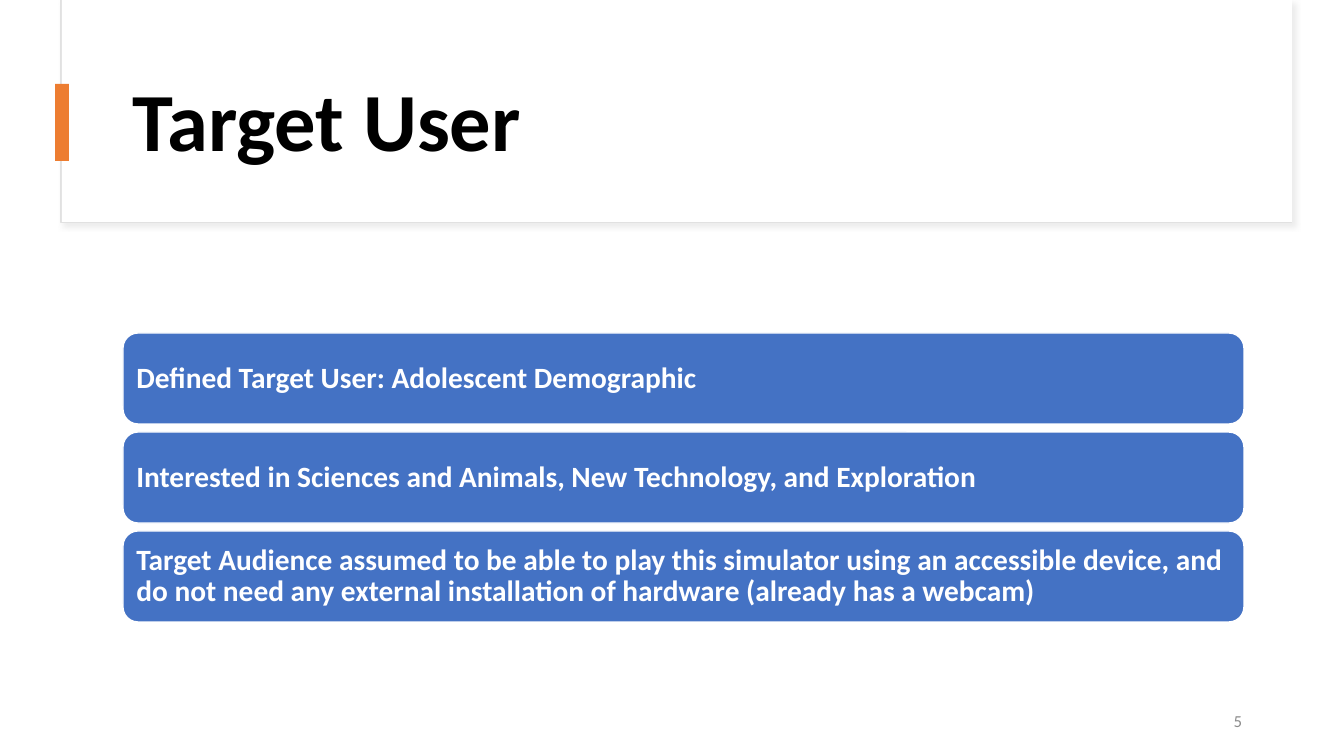
"""Build the Target User slide."""
from lxml.etree import SubElement
from pptx import Presentation
from pptx.dml.color import RGBColor
from pptx.enum.shapes import MSO_SHAPE
from pptx.enum.text import MSO_ANCHOR, PP_ALIGN
from pptx.oxml.ns import qn
from pptx.util import Pt

TITLE = "Target User"
POINTS = [
    "Defined Target User: Adolescent Demographic",
    "Interested in Sciences and Animals, New Technology, and Exploration",
    "Target Audience assumed to be able to play this simulator using an "
    "accessible device, and do not need any external installation of "
    "hardware (already has a webcam)",
]
NUMBER = "5"
COLORS = {
    "white": "FFFFFF", "edge": "E1E1E1", "shade": "D9D9D9", "black": "000000",
    "accent": "ED7D31", "bar": "4472C4", "gray": "8C8C8C",
}
FONT = "Calibri"
WIDE, HIGH = 1344, 756
LEFT, SPAN = 123, 1121
TOP, TALL, STEP = 333, 91, 99
RADIUS = 15
SCALE = 12192000 / WIDE


def px(size):
    """Turn px into EMU."""
    return round(size * SCALE)


def color(name):
    """Look up a colour."""
    return RGBColor.from_string(COLORS[name])


def add_box(slide, kind, area, fill, line=None, width=1):
    """Add a filled shape with an optional outline."""
    box = slide.shapes.add_shape(kind, *map(px, area))
    box.shadow.inherit = False
    box.fill.solid()
    box.fill.fore_color.rgb = color(fill)
    if line:
        box.line.color.rgb = color(line)
        box.line.width = Pt(width)
    else:
        box.line.fill.background()
    return box


def add_shade(box):
    """Give a shape a soft outer shadow."""
    effects = box.shadow._element.find(qn("a:effectLst"))
    outer = SubElement(effects, qn("a:outerShdw"), blurRad=str(Pt(4)),
                       dist=str(Pt(3)), dir="2700000", algn="tl", rotWithShape="0")
    tint = SubElement(outer, qn("a:srgbClr"), val=COLORS["shade"])
    SubElement(tint, qn("a:alpha"), val="50000")


def write(shape, text, size, ink, bold=False, align=PP_ALIGN.LEFT, space=0.9):
    """Write one centred-in-height paragraph."""
    frame = shape.text_frame
    frame.word_wrap = True
    frame.vertical_anchor = MSO_ANCHOR.MIDDLE
    para = frame.paragraphs[0]
    para.alignment = align
    para.line_spacing = space
    run = para.add_run()
    run.text = text
    font = run.font
    font.name, font.size, font.bold = FONT, Pt(size), bold
    font.color.rgb = color(ink)
    return frame


def main():
    """Draw and save the slide."""
    deck = Presentation()
    deck.slide_width, deck.slide_height = px(WIDE), px(HIGH)
    slide = deck.slides.add_slide(deck.slide_layouts[6])

    rect = MSO_SHAPE.RECTANGLE
    panel = add_box(slide, rect, (61, 0, 1231, 223), "white", "edge", 0.75)
    add_shade(panel)
    add_box(slide, rect, (62, 0, 1230, 222), "white")
    title = slide.shapes.add_textbox(*map(px, (LEFT, 60, SPAN, 130)))
    write(title, TITLE, 59, "black", True)
    add_box(slide, rect, (55, 84, 14, 77), "accent")

    for row, point in enumerate(POINTS):
        area = (LEFT, TOP + row * STEP, SPAN, TALL)
        bar = add_box(slide, MSO_SHAPE.ROUNDED_RECTANGLE, area, "bar", "white")
        bar.adjustments[0] = RADIUS / TALL
        frame = write(bar, point, 21, "white", True)
        frame.margin_left = frame.margin_right = px(9)
        frame.margin_top = frame.margin_bottom = px(9)

    page = slide.shapes.add_textbox(*map(px, (950, 701, 302, 40)))
    write(page, NUMBER, 12, "gray", align=PP_ALIGN.RIGHT, space=1.0)
    deck.save("out.pptx")


if __name__ == "__main__":
    main()
